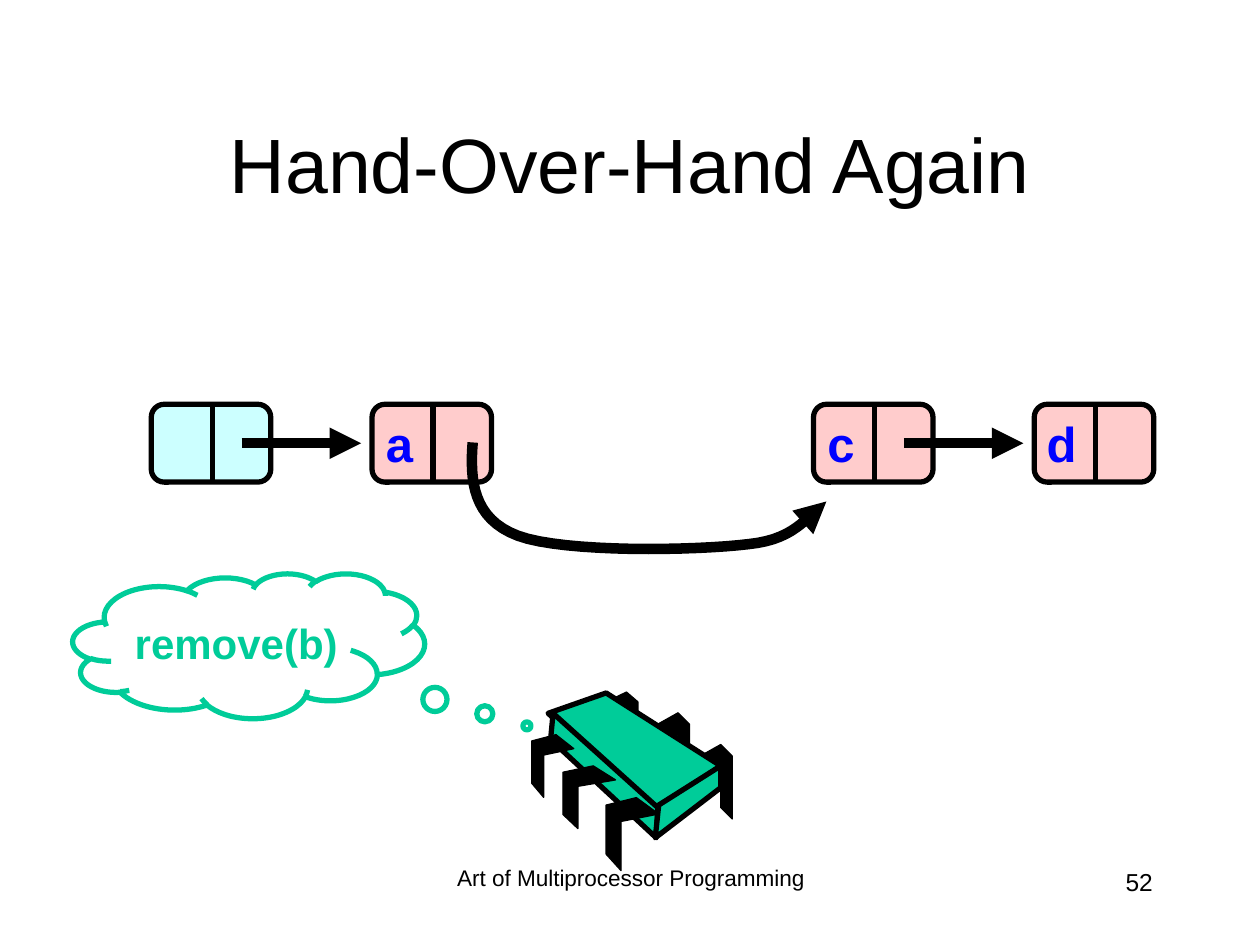
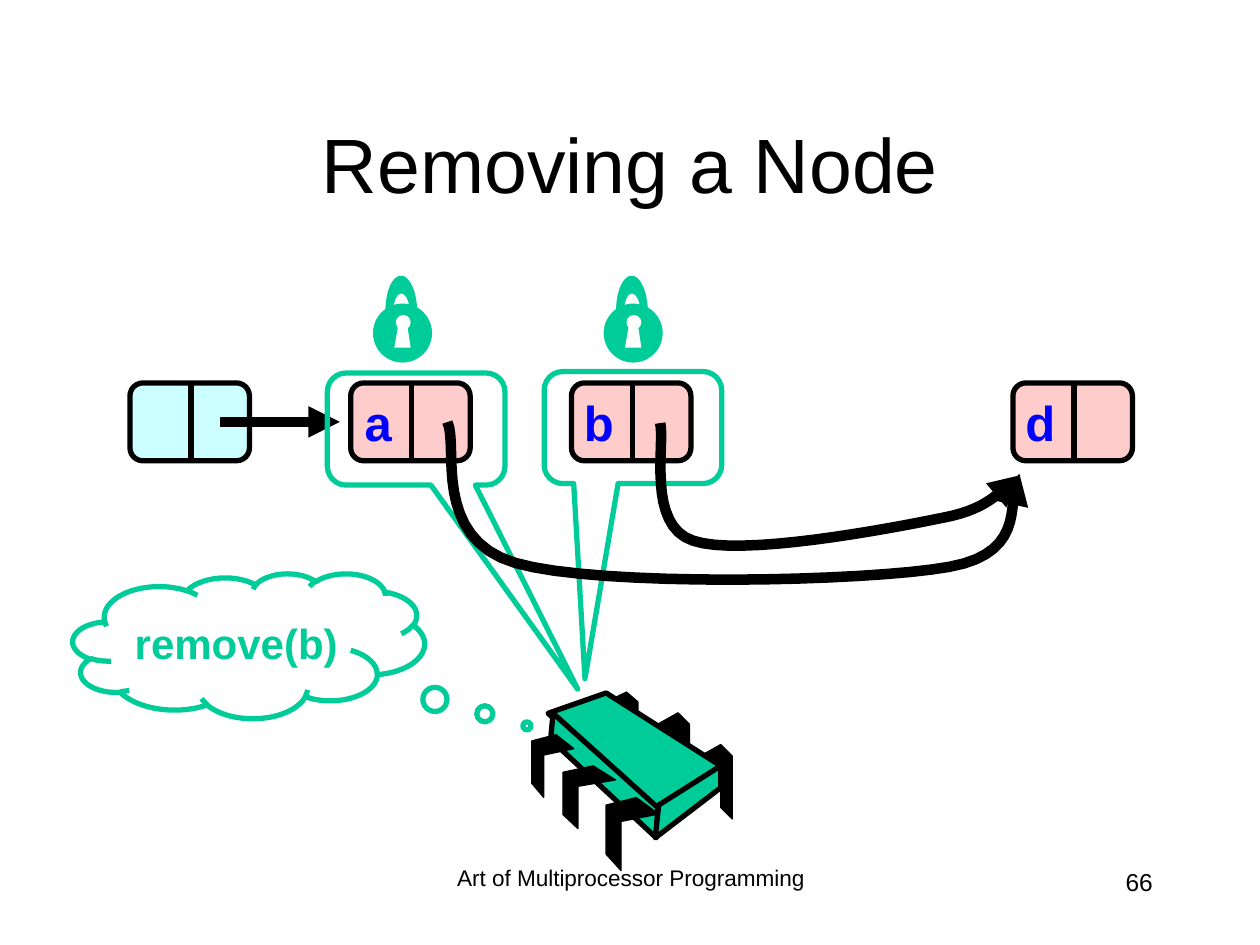
"""Build two slides about removing a node from a locked linked list."""
from dataclasses import dataclass
from typing import Optional

from lxml import etree
from pptx import Presentation
from pptx import util as u
from pptx.dml import color
from pptx.enum import shapes, text
from pptx.oxml import ns

Point = tuple[float, float]

COLORS = {
    "ink": "000000",
    "label": "0000FF",
    "head_node": "CCFFFF",
    "node": "FFCCCC",
    "thread": "00CC99",
    "paper": "FFFFFF",
}
FONT = "Arial"
PRESET = shapes.MSO_SHAPE
ALIGN = text.PP_ALIGN

NODE_WIDTH, NODE_HEIGHT, NODE_PITCH = 2.41, 1.57, 4.45
ARROW_START, ARROW_LENGTH = 1.82, 2.41
THIN, OUTLINE, POINTER = 0.75, 3, 6

BACK_LEG = [(0, 0), (0.41, -0.23), (0.64, 0), (0.64, 1.27), (0.41, 1.04), (0.41, 0.2), (0, 0.41)]
FRONT_LEG = [(0.61, 0), (1.06, 0.33), (0.3, 0.48), (0.3, 1.47), (0, 1.14), (0, 0.15)]
CHIP_FACES = [
    [(12.22, 13.97), (14.53, 15.44), (13.23, 16.33), (11.05, 14.38)],
    [(11.15, 14.38), (13.26, 16.28), (13.23, 16.89), (11.1, 14.91)],
    [(14.53, 15.44), (14.53, 15.88), (13.21, 16.89), (13.28, 16.23)],
]
KEYHOLE_SLOT = [(0.43, 0.89), (0.51, 0.43), (0.69, 0.43), (0.76, 0.89)]
SHACKLE_INNER = [(0.41, 0.15), (0.41, -0.03), (0.48, -0.2), (0.57, -0.2),
                 (0.66, -0.2), (0.74, -0.03), (0.74, 0.15)]
SHACKLE_OUTER = [(0.89, 0.15), (0.89, -0.23), (0.74, -0.56), (0.57, -0.56),
                 (0.38, -0.56), (0.25, -0.23), (0.25, 0.15)]


@dataclass
class Leg:
    """A chip leg: its outline, position and scale."""
    outline: list[Point]
    left: float
    top: float
    x_scale: float = 1
    y_scale: float = 1


@dataclass
class Callout:
    """A lock callout: its corner and the target of its tip."""
    left: float
    top: float
    tip: Point


@dataclass
class ListSlide:
    """The contents of one linked list slide."""
    title: str
    number: int
    left: float
    top: float
    nodes: dict[int, str]
    arrows: list[int]
    pointers: list[list[Point]]
    callouts: list[Callout]
    locks: list[Point]


BACK_LEGS = [
    Leg(BACK_LEG, 14.12, 15.24),
    Leg(BACK_LEG, 13.26, 14.6),
    Leg(BACK_LEG, 12.22, 14.15, y_scale=0.86),
]
FRONT_LEGS = [
    Leg(FRONT_LEG, 12.22, 16.08),
    Leg(FRONT_LEG, 11.35, 15.44, y_scale=0.86),
    Leg(FRONT_LEG, 10.72, 14.81, x_scale=0.8, y_scale=0.86),
]

SLIDES = [
    ListSlide(
        "Hand-Over-Hand Again", 52, 3.05, 8.15,
        nodes={0: "", 1: "a", 3: "c", 4: "d"},
        arrows=[0, 3],
        pointers=[[(9.53, 8.92), (9.47, 9.68), (9.53, 10.46), (10.44, 10.8),
                   (11.38, 11.15), (14.05, 11.1), (15.09, 10.97),
                   (16.13, 10.87), (16.33, 10.29), (16.66, 10.11)]],
        callouts=[],
        locks=[],
    ),
    ListSlide(
        "Removing a Node", 66, 2.62, 7.72,
        nodes={0: "", 1: "a", 2: "b", 4: "d"},
        arrows=[0],
        pointers=[[(13.31, 8.53), (13.41, 8.94), (13.03, 10.59), (13.97, 10.9),
                   (14.91, 11.23), (17.88, 10.67), (19, 10.44),
                   (20.09, 10.24), (20.24, 9.75), (20.57, 9.58)],
                  [(9.02, 8.51), (9.25, 8.97), (8.69, 10.85), (10.39, 11.35),
                   (12.07, 11.84), (17.45, 11.73), (19.13, 11.43),
                   (20.83, 11.13), (20.24, 9.93), (20.55, 9.55)]],
        callouts=[Callout(6.6, 7.52, (0.91, 2.32)), Callout(10.97, 7.49, (-0.27, 2.24))],
        locks=[(7.52, 6.12), (12.17, 6.12)],
    ),
]


def rgb(name: str) -> color.RGBColor:
    """Look up a named colour."""
    return color.RGBColor.from_string(COLORS[name])


def write(shape, content: str, *, size: float, ink: str = "ink", bold: bool = False,
          align=ALIGN.CENTER, anchor=text.MSO_ANCHOR.TOP, wrap: bool = True,
          spacing: Optional[float] = None) -> None:
    """Put one formatted paragraph into a shape."""
    frame = shape.text_frame
    frame.word_wrap = wrap
    frame.vertical_anchor = anchor
    paragraph = frame.paragraphs[0]
    paragraph.alignment = align
    paragraph.line_spacing = spacing
    run = paragraph.add_run()
    run.text = content
    run.font.name = FONT
    run.font.size = u.Pt(size)
    run.font.bold = bold
    run.font.color.rgb = rgb(ink)


def add_label(parent, content: str, left: float, top: float, width: float, height: float,
              **text_format) -> None:
    """Add a text box."""
    box = parent.add_textbox(u.Cm(left), u.Cm(top), u.Cm(width), u.Cm(height))
    write(box, content, **text_format)


def paint(shape, fill: Optional[str], line: Optional[str], width: float) -> None:
    """Set the fill and outline of a shape and drop its shadow."""
    shape.shadow.inherit = False
    if fill:
        shape.fill.solid()
        shape.fill.fore_color.rgb = rgb(fill)
    else:
        shape.fill.background()
    if line:
        shape.line.color.rgb = rgb(line)
        shape.line.width = u.Pt(width)
    else:
        shape.line.fill.background()


def add_preset(parent, preset, left: float, top: float, width: float, height: float, *,
               fill: Optional[str] = None, line: Optional[str] = None,
               adjustments: tuple[float, ...] = ()):
    """Add a preset shape."""
    shape = parent.add_shape(preset, u.Cm(left), u.Cm(top), u.Cm(width), u.Cm(height))
    for index, value in enumerate(adjustments):
        shape.adjustments[index] = value
    paint(shape, fill, line, OUTLINE)
    return shape


def add_outline(parent, points: list[Point], *, fill: Optional[str] = None,
                line: Optional[str] = None, width: float = OUTLINE, close: bool = True):
    """Add a freeform through the given points."""
    start, *rest = [(u.Cm(x), u.Cm(y)) for x, y in points]
    builder = parent.build_freeform(*start)
    builder.add_line_segments(rest, close=close)
    shape = builder.convert_to_shape()
    paint(shape, fill, line, width)
    return shape


def add_arrowhead(shape) -> None:
    """End a line with a triangle."""
    outline = shape.element.spPr.find(ns.qn("a:ln"))
    etree.SubElement(outline, ns.qn("a:tailEnd"), type="triangle")


def add_line(parent, start: Point, end: Point, width: float):
    """Add a straight connector."""
    connector = parent.add_connector(
        shapes.MSO_CONNECTOR.STRAIGHT, *(u.Cm(value) for value in (*start, *end)))
    connector.line.color.rgb = rgb("ink")
    connector.line.width = u.Pt(width)
    etree.SubElement(connector.element.spPr, ns.qn("a:effectLst"))
    return connector


def curve(controls: list[Point], steps: int = 16) -> list[Point]:
    """Sample a chain of cubic Bezier segments."""
    points = [controls[0]]
    for first in range(0, len(controls) - 1, 3):
        segment = controls[first:first + 4]
        for step in range(1, steps + 1):
            t = step / steps
            weights = ((1 - t) ** 3, 3 * t * (1 - t) ** 2, 3 * t * t * (1 - t), t ** 3)
            points.append((sum(w * x for w, (x, _) in zip(weights, segment)),
                           sum(w * y for w, (_, y) in zip(weights, segment))))
    return points


def moved(points: list[Point], left: float, top: float,
          x_scale: float = 1, y_scale: float = 1) -> list[Point]:
    """Scale points and shift them to a position."""
    return [(left + x * x_scale, top + y * y_scale) for x, y in points]


def add_node(slide, left: float, top: float, label: str) -> None:
    """Draw a list node with its divider and label."""
    group = slide.shapes.add_group_shape().shapes
    add_preset(group, PRESET.ROUNDED_RECTANGLE, left, top, NODE_WIDTH, NODE_HEIGHT,
               fill="node" if label else "head_node", line="ink", adjustments=(0.167,))
    divider = left + 1.23
    add_line(group, (divider, top - 0.02), (divider, top + NODE_HEIGHT + 0.03), OUTLINE)
    if label:
        add_label(group, label, left, top + 0.06, 1.08, 1.45, size=28, ink="label",
                  bold=True, align=ALIGN.RIGHT, wrap=False)


def add_legs(group, legs: list[Leg]) -> None:
    """Draw the legs on one side of the chip."""
    for leg in legs:
        points = moved(leg.outline, leg.left, leg.top, leg.x_scale, leg.y_scale)
        add_outline(group, points, fill="ink", line="ink", width=THIN)


def add_chip(slide) -> None:
    """Draw the processor chip that stands for a thread."""
    group = slide.shapes.add_group_shape().shapes
    add_legs(group, BACK_LEGS)
    for face in CHIP_FACES:
        add_outline(group, face, fill="thread", line="ink")
    add_legs(group, FRONT_LEGS)


def add_lock(slide, left: float, top: float) -> None:
    """Draw a closed padlock."""
    group = slide.shapes.add_group_shape().shapes
    add_preset(group, PRESET.OVAL, left, top, 1.19, 1.19, fill="thread")
    add_preset(group, PRESET.OVAL, left + 0.46, top + 0.23, 0.3, 0.3, fill="paper")
    add_outline(group, moved(KEYHOLE_SLOT, left, top), fill="paper")
    shackle = curve(SHACKLE_INNER) + curve(SHACKLE_OUTER)
    add_outline(group, moved(shackle, left, top), fill="thread")


def add_frame(slide, title: str, number: int) -> None:
    """Add the footer, slide number and title."""
    add_label(slide.shapes, "Art of Multiprocessor Programming", 8.69, 17.35, 8.05, 1.27,
              size=12.9, spacing=0.9)
    add_label(slide.shapes, str(number), 18.21, 17.35, 5.28, 1.27, size=14, align=ALIGN.RIGHT)
    add_label(slide.shapes, title, 1.91, 1.7, 21.59, 3.18, size=44,
              anchor=text.MSO_ANCHOR.MIDDLE)


def add_list_slide(presentation, content: ListSlide) -> None:
    """Build one slide from its description."""
    slide = presentation.slides.add_slide(presentation.slide_layouts[6])
    add_frame(slide, content.title, content.number)
    for position, label in content.nodes.items():
        add_node(slide, content.left + position * NODE_PITCH, content.top, label)
    for position in content.arrows:
        start = content.left + position * NODE_PITCH + ARROW_START
        middle = content.top + NODE_HEIGHT / 2
        add_arrowhead(add_line(slide.shapes, (start, middle), (start + ARROW_LENGTH, middle),
                               POINTER))
    add_chip(slide)
    for callout in content.callouts:
        add_preset(slide.shapes, PRESET.ROUNDED_RECTANGULAR_CALLOUT, callout.left, callout.top,
                   3.58, 2.26, line="thread", adjustments=(*callout.tip, 0.167))
    cloud = add_preset(slide.shapes, PRESET.CLOUD_CALLOUT, 1.47, 11.56, 7.09, 2.92,
                       line="thread", adjustments=(0.791, 0.553))
    write(cloud, "remove(b)", size=24, ink="thread", bold=True, anchor=text.MSO_ANCHOR.MIDDLE)
    for corner in content.locks:
        add_lock(slide, *corner)
    for controls in content.pointers:
        add_arrowhead(add_outline(slide.shapes, curve(controls), line="ink", width=POINTER,
                                  close=False))


def main() -> None:
    """Build and save the presentation."""
    presentation = Presentation()
    presentation.slide_width, presentation.slide_height = u.Cm(25.4), u.Cm(19.05)
    for content in SLIDES:
        add_list_slide(presentation, content)
    presentation.save("out.pptx")


if __name__ == "__main__":
    main()
